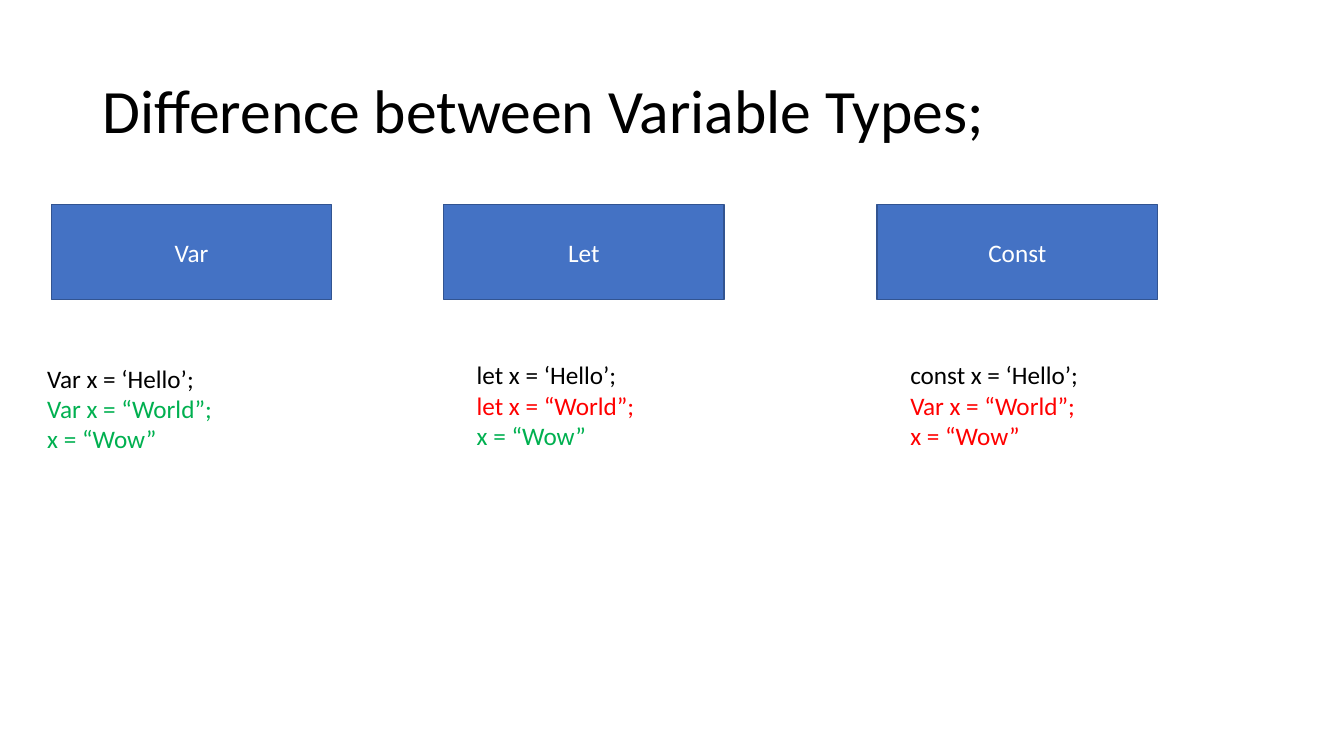
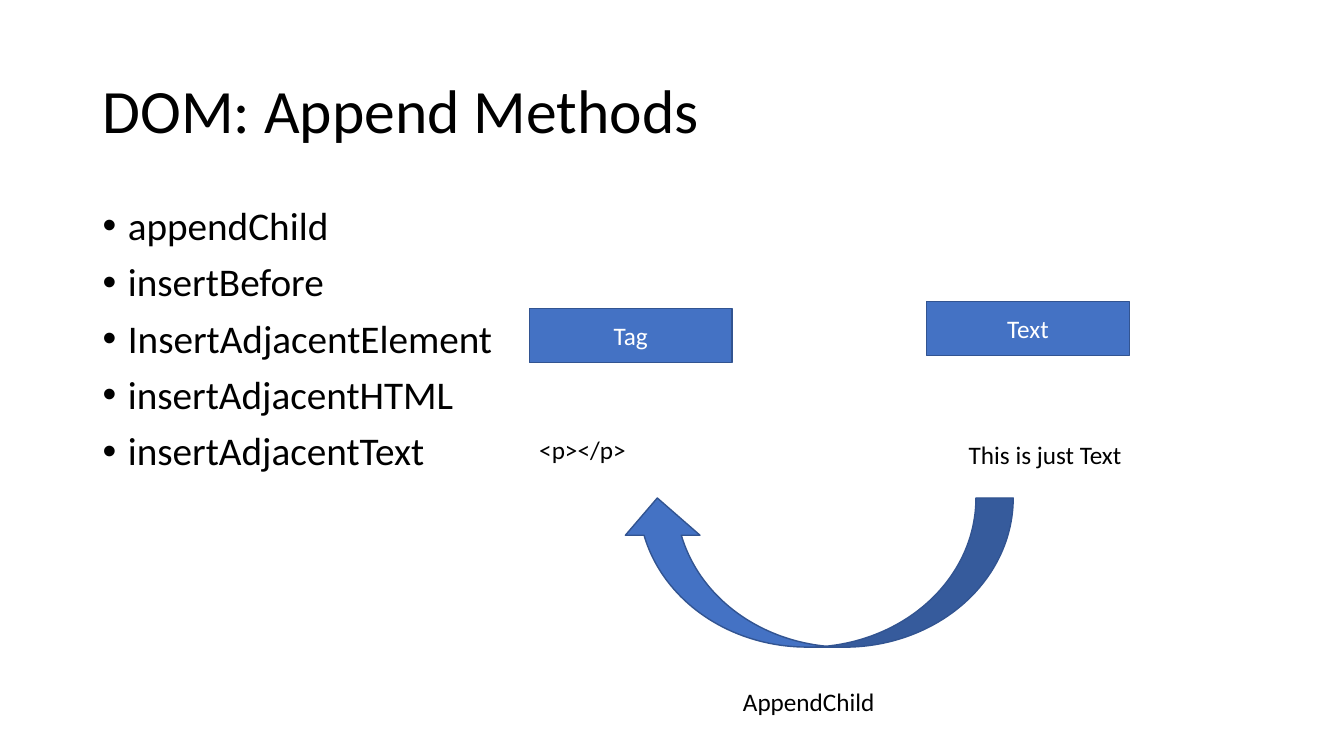
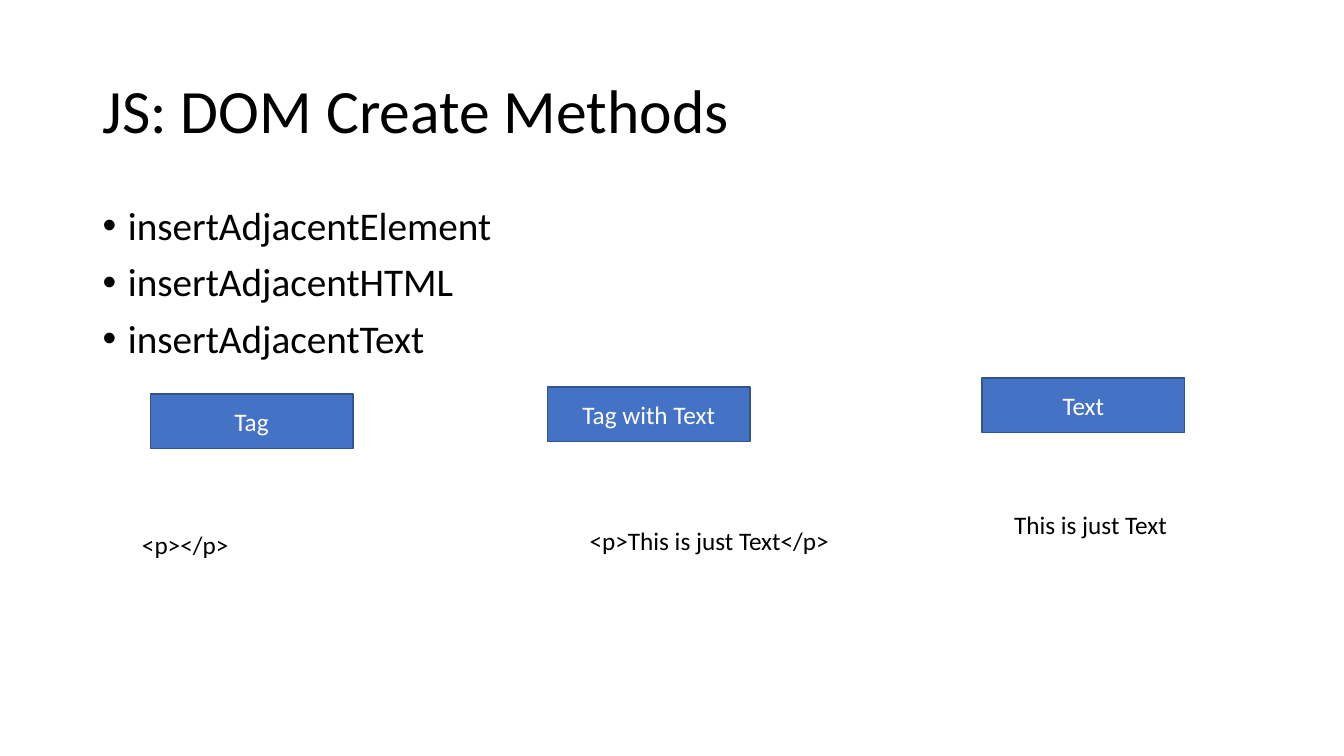
from lxml import etree
from pptx import Presentation
from pptx.dml.color import RGBColor
from pptx.enum.shapes import MSO_SHAPE
from pptx.enum.text import MSO_ANCHOR, PP_ALIGN
from pptx.oxml.ns import qn
from pptx.util import Inches, Pt

RECT = MSO_SHAPE.RECTANGLE
ARROW = MSO_SHAPE.CURVED_UP_ARROW
MIDDLE = MSO_ANCHOR.MIDDLE
TOP = MSO_ANCHOR.TOP
CENTER = PP_ALIGN.CENTER

BLACK = RGBColor(0x00, 0x00, 0x00)
WHITE = RGBColor(0xFF, 0xFF, 0xFF)
BLUE = RGBColor(0x44, 0x72, 0xC4)
EDGE = RGBColor(0x32, 0x54, 0x91)
GREEN = RGBColor(0x00, 0xB0, 0x50)
RED = RGBColor(0xFF, 0x00, 0x00)
FONT = "Calibri"

BIG = (2.78, 0.94)
SMALL = (2.01, 0.54)
CODE = (2.33, 1.01)
TAG = (1.07, 0.4)
PLAIN = (1.73, 0.4)

SLIDES = [
    {
        "title": "Difference between Variable Types;",
        "bullets": [],
        "size": BIG,
        "boxes": [("Var", 0.51, 2.03), ("Let", 4.4, 2.03), ("Const", 8.7, 2.03)],
        "notes": [
            (0.37, 3.55, CODE, True,
             [("Var x = ‘Hello’;", BLACK), ("Var x = “World”;", GREEN), ("x = “Wow”", GREEN)]),
            (4.63, 3.52, CODE, True,
             [("let x = ‘Hello’;", BLACK), ("let x = “World”;", RED), ("x = “Wow”", GREEN)]),
            (8.93, 3.52, CODE, True,
             [("const x = ‘Hello’;", BLACK), ("Var x = “World”;", RED), ("x = “Wow”", RED)]),
        ],
        "arrows": [],
    },
    {
        "title": "DOM: Append Methods",
        "bullets": ["appendChild", "insertBefore", "InsertAdjacentElement",
                    "insertAdjacentHTML", "insertAdjacentText"],
        "size": SMALL,
        "boxes": [("Tag", 5.25, 3.06), ("Text", 9.19, 2.99)],
        "notes": [
            (5.25, 4.26, TAG, False, [("<p></p>", BLACK)]),
            (9.51, 4.31, PLAIN, False, [("This is just Text", BLACK)]),
            (7.27, 6.76, (5.15, 0.4), True, [("AppendChild", BLACK)]),
        ],
        "arrows": [(6.15, 4.94, 3.9, 1.48)],
    },
    {
        "title": "JS: DOM Create Methods",
        "bullets": ["insertAdjacentElement", "insertAdjacentHTML", "insertAdjacentText"],
        "size": SMALL,
        "boxes": [("Tag", 1.49, 3.91), ("Tag with Text", 5.43, 3.84), ("Text", 9.74, 3.75)],
        "notes": [
            (1.31, 5.2, TAG, False, [("<p></p>", BLACK)]),
            (9.96, 5, PLAIN, False, [("This is just Text", BLACK)]),
            (5.75, 5.16, (2.6, 0.4), False, [("<p>This is just Text</p>", BLACK)]),
        ],
        "arrows": [],
    },
]


def style(para, size, color):
    for run in para.runs:
        run.font.name = FONT
        run.font.size = Pt(size)
        run.font.color.rgb = color


def add_text(slide, place, lines, size, wrap=True, anchor=TOP):
    box = slide.shapes.add_textbox(*map(Inches, place))
    frame = box.text_frame
    frame.word_wrap = wrap
    frame.vertical_anchor = anchor
    frame.text = "\n".join(text for text, color in lines)
    for para, (text, color) in zip(frame.paragraphs, lines):
        style(para, size, color)
    return frame.paragraphs


def add_title(slide, text):
    paras = add_text(slide, (0.92, 0.4, 11.5, 1.45), [(text, BLACK)], 44, anchor=MIDDLE)
    paras[0].line_spacing = 0.9


def add_list(slide, items):
    lines = [(item, BLACK) for item in items]
    paras = add_text(slide, (0.92, 2, 11.5, 4.76), lines, 28)
    for i, para in enumerate(paras):
        para.line_spacing = 0.9
        if i:
            para.space_before = Pt(10)
        props = para._p.get_or_add_pPr()
        props.set("marL", str(Inches(0.25)))
        props.set("indent", str(-Inches(0.25)))
        etree.SubElement(props, qn("a:buFont")).set("typeface", "Arial")
        etree.SubElement(props, qn("a:buChar")).set("char", "•")


def add_blue(slide, kind, place):
    shape = slide.shapes.add_shape(kind, *map(Inches, place))
    shape.shadow.inherit = False
    shape.fill.solid()
    shape.fill.fore_color.rgb = BLUE
    shape.line.color.rgb = EDGE
    shape.line.width = Pt(1)
    return shape


def add_label(slide, text, place):
    frame = add_blue(slide, RECT, place).text_frame
    frame.text = text
    frame.vertical_anchor = MIDDLE
    para = frame.paragraphs[0]
    para.alignment = CENTER
    style(para, 18, WHITE)


def build(deck, data):
    slide = deck.slides.add_slide(deck.slide_layouts[6])
    add_title(slide, data["title"])
    if data["bullets"]:
        add_list(slide, data["bullets"])
    for text, left, top in data["boxes"]:
        add_label(slide, text, (left, top, *data["size"]))
    for left, top, size, wrap, lines in data["notes"]:
        add_text(slide, (left, top, *size), lines, 18, wrap)
    for place in data["arrows"]:
        arrow = add_blue(slide, ARROW, place)
        arrow.element.spPr.find(qn("a:xfrm")).set("flipH", "1")


def main():
    deck = Presentation()
    deck.slide_width = Inches(13.33)
    deck.slide_height = Inches(7.5)
    for data in SLIDES:
        build(deck, data)
    deck.save("out.pptx")


if __name__ == "__main__":
    main()
